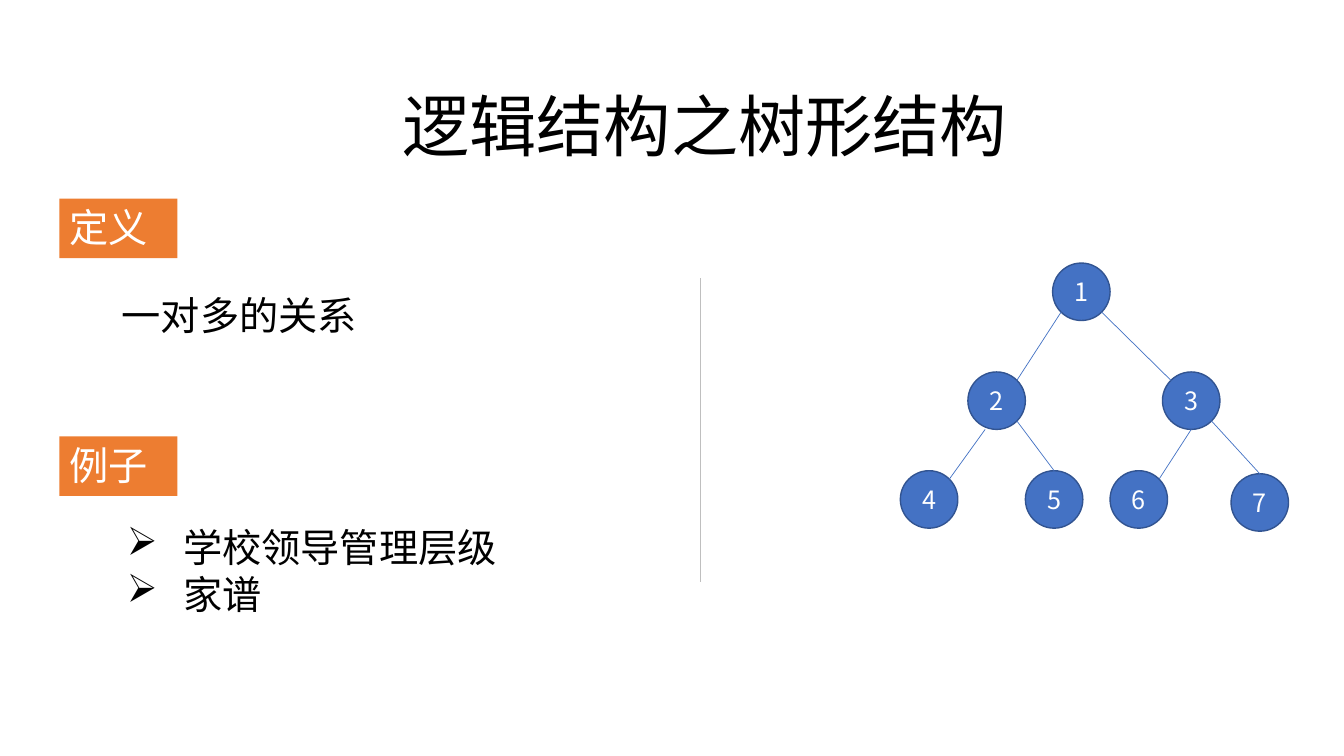
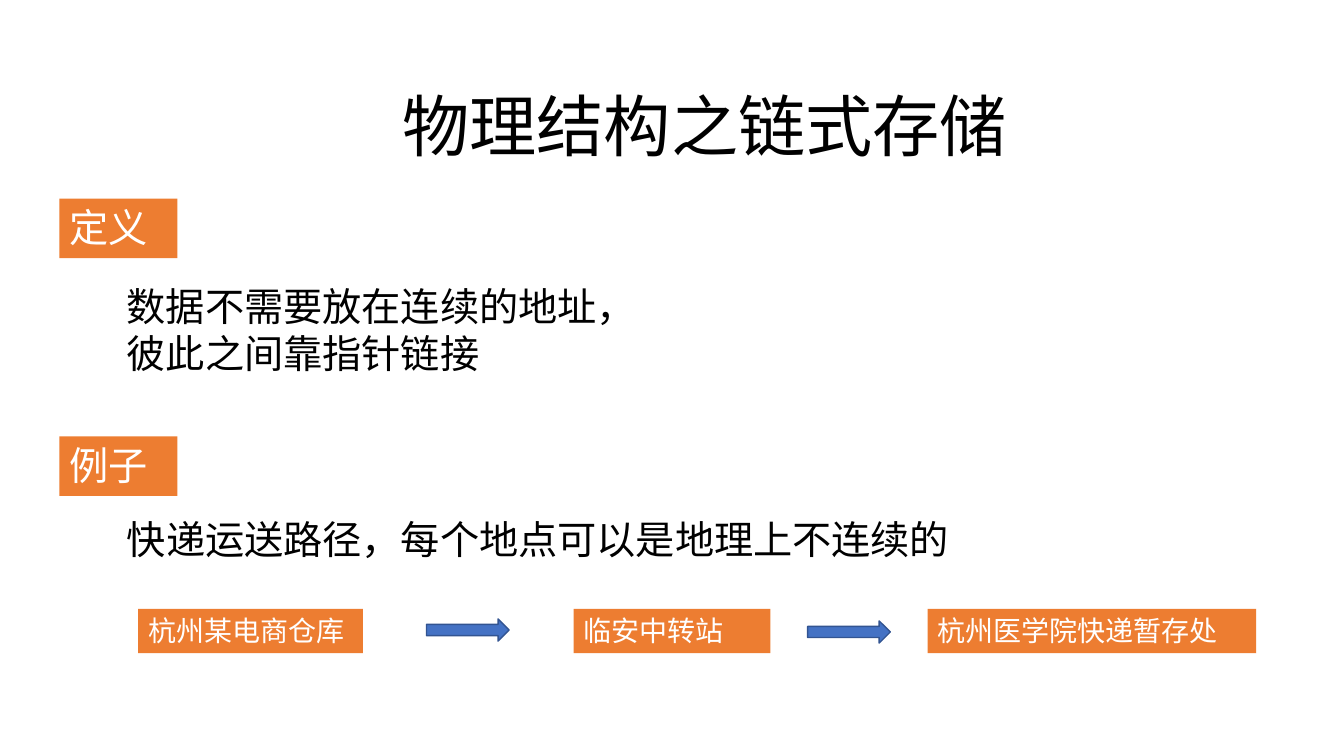
from pptx import Presentation
from pptx.dml.color import RGBColor
from pptx.enum.shapes import MSO_CONNECTOR, MSO_SHAPE
from pptx.enum.text import MSO_ANCHOR, PP_ALIGN
from pptx.oxml.ns import qn
from pptx.util import Inches, Pt
from lxml.etree import SubElement

FONT = "Noto Sans CJK SC"
BLACK, WHITE, GRAY = "000000", "FFFFFF", "BFBFBF"
BLUE, NAVY, ORANGE = "4472C4", "325491", "ED7D31"

# Shared by both slides: label text and top
LABELS = [("定义", 1.97), ("例子", 4.33)]

# Tree: node -> left, top; edge -> parent, site, child, site
DIAM = 0.57
NODES = {
    "1": (10.44, 2.61),
    "2": (9.6, 3.69), "3": (11.53, 3.69),
    "4": (8.93, 4.67), "5": (10.17, 4.67),
    "6": (11.01, 4.67), "7": (12.21, 4.7),
}
SITES = {  # fractions of the diameter
    "top": (0.5, 0), "bottom": (0.5, 1), "low": (0.3, 1),
    "nw": (0.15, 0.15), "ne": (0.85, 0.15),
    "sw": (0.15, 0.85), "se": (0.85, 0.85),
}
EDGES = [
    ("1", "sw", "2", "ne"), ("1", "se", "3", "nw"),
    ("2", "low", "4", "ne"), ("2", "se", "5", "top"),
    ("3", "bottom", "6", "ne"), ("3", "se", "7", "top"),
]
EXAMPLES = ["学校领导管理层级", "家谱"]

# Delivery route: text, left, width; arrows: left, top
STOPS = [
    ("杭州某电商仓库", 1.37, 2.23),
    ("临安中转站", 5.69, 1.95),
    ("杭州医学院快递暂存处", 9.2, 3.26),
]
ARROWS = [(4.23, 6.14), (8.01, 6.16)]


def rgb(color):
    return RGBColor.from_string(color)


def write(frame, lines, size, color=BLACK, align=PP_ALIGN.LEFT, bullet=None):
    frame.word_wrap = True
    for i, line in enumerate(lines):
        para = frame.paragraphs[0] if i == 0 else frame.add_paragraph()
        para.alignment = align
        if bullet:
            props = para._p.get_or_add_pPr()
            props.set("marL", str(Inches(0.56)))
            props.set("indent", str(-Inches(0.56)))
            SubElement(props, qn("a:buChar")).set("char", bullet)
        run = para.add_run()
        run.text = line
        run.font.name = FONT
        run.font.size = Pt(size)
        run.font.color.rgb = rgb(color)
        SubElement(run._r.get_or_add_rPr(), qn("a:ea")).set("typeface", FONT)


def add_text(slide, box, lines, size=28, **style):
    shape = slide.shapes.add_textbox(*map(Inches, box))
    write(shape.text_frame, lines, size, **style)


def add_box(slide, kind, box, fill, line=None):
    shape = slide.shapes.add_shape(kind, *map(Inches, box))
    shape.shadow.inherit = False
    shape.fill.solid()
    shape.fill.fore_color.rgb = rgb(fill)
    if line:
        shape.line.color.rgb = rgb(line)
        shape.line.width = Pt(1)
    else:
        shape.line.fill.background()
    return shape


def add_tag(slide, text, box, size):
    shape = add_box(slide, MSO_SHAPE.RECTANGLE, box, ORANGE)
    shape.text_frame.vertical_anchor = MSO_ANCHOR.TOP
    write(shape.text_frame, [text], size, WHITE)


def add_line(slide, start, end, color, width):
    line = slide.shapes.add_connector(
        MSO_CONNECTOR.STRAIGHT, *map(Inches, (*start, *end)))
    line.line.color.rgb = rgb(color)
    line.line.width = Pt(width)
    SubElement(line._element.spPr, qn("a:effectLst"))


def site(node, name):
    return [pos + DIAM * part for pos, part in zip(NODES[node], SITES[name])]


def add_slide(deck, title):
    slide = deck.slides.add_slide(deck.slide_layouts[6])
    add_text(slide, (2.76, 0.79, 8.46, 0.91), [title], 48,
             align=PP_ALIGN.CENTER)
    for text, top in LABELS:
        add_tag(slide, text, (0.59, top, 1.17, 0.59), 28)
    return slide


def build_tree(deck):
    slide = add_slide(deck, "逻辑结构之树形结构")
    add_text(slide, (1.11, 2.84, 5.34, 0.57), ["一对多的关系"])
    add_text(slide, (1.16, 5.14, 4.26, 1.04), EXAMPLES, bullet="➢")
    add_line(slide, (6.95, 2.76), (6.95, 5.77), GRAY, 1)

    # Nodes, then edges
    for name, (left, top) in NODES.items():
        node = add_box(slide, MSO_SHAPE.OVAL, (left, top, DIAM, DIAM),
                       BLUE, NAVY)
        node.text_frame.vertical_anchor = MSO_ANCHOR.MIDDLE
        write(node.text_frame, [name], 18, WHITE, PP_ALIGN.CENTER)
    for head, leave, tail, enter in EDGES:
        add_line(slide, site(head, leave), site(tail, enter), BLUE, 0.5)


def build_chain(deck):
    slide = add_slide(deck, "物理结构之链式存储")
    add_text(slide, (1.16, 2.75, 5.34, 1.04),
             ["数据不需要放在连续的地址，彼此之间靠指针链接"])
    add_text(slide, (1.16, 5.06, 10.31, 0.57),
             ["快递运送路径，每个地点可以是地理上不连续的"])

    # Route
    for text, left, width in STOPS:
        add_tag(slide, text, (left, 6.04, width, 0.44), 20)
    for left, top in ARROWS:
        add_box(slide, MSO_SHAPE.RIGHT_ARROW, (left, top, 0.82, 0.22),
                BLUE, NAVY)


def main():
    deck = Presentation()
    deck.slide_width, deck.slide_height = Inches(13.33), Inches(7.5)
    build_tree(deck)
    build_chain(deck)
    deck.save("out.pptx")


if __name__ == "__main__":
    main()
